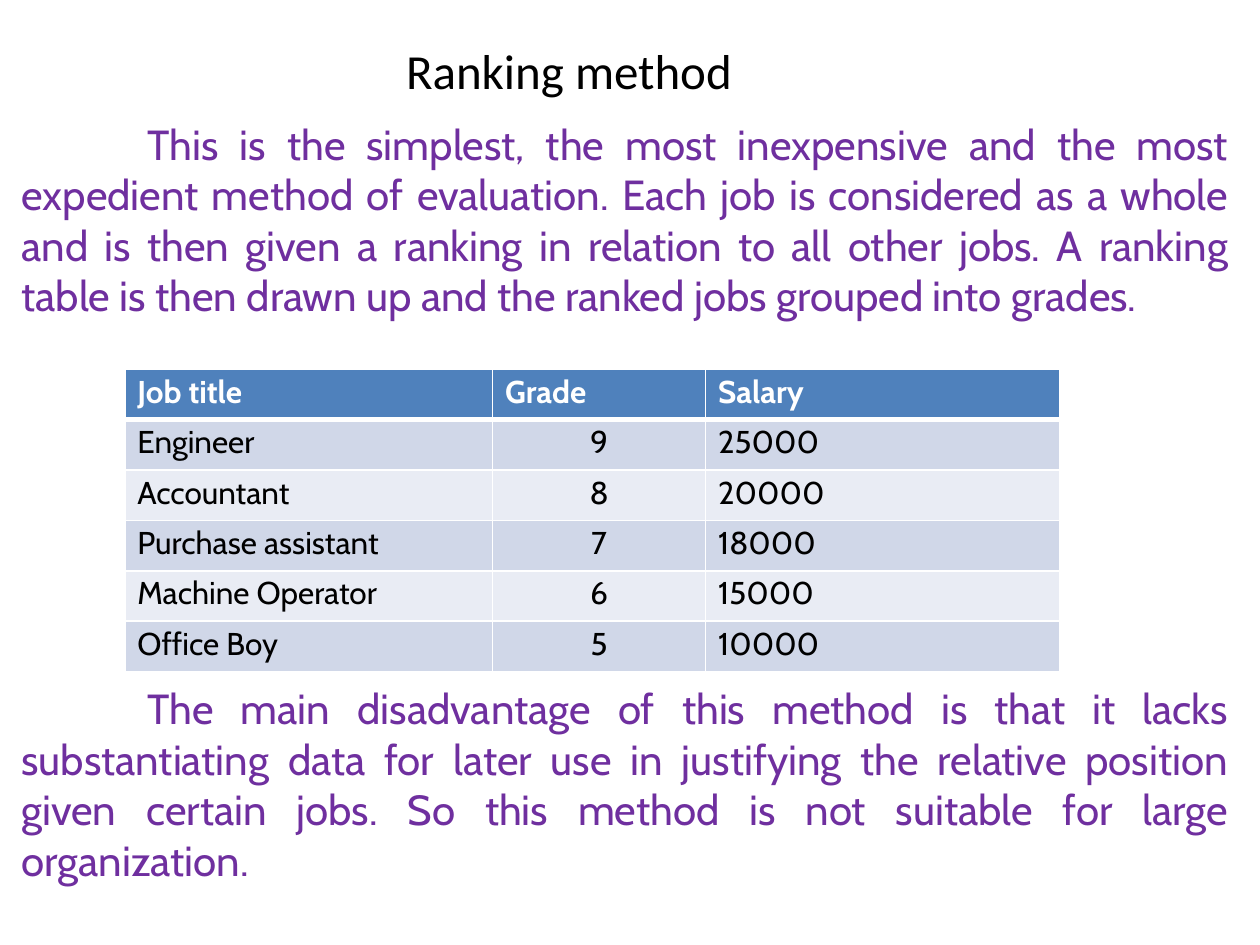
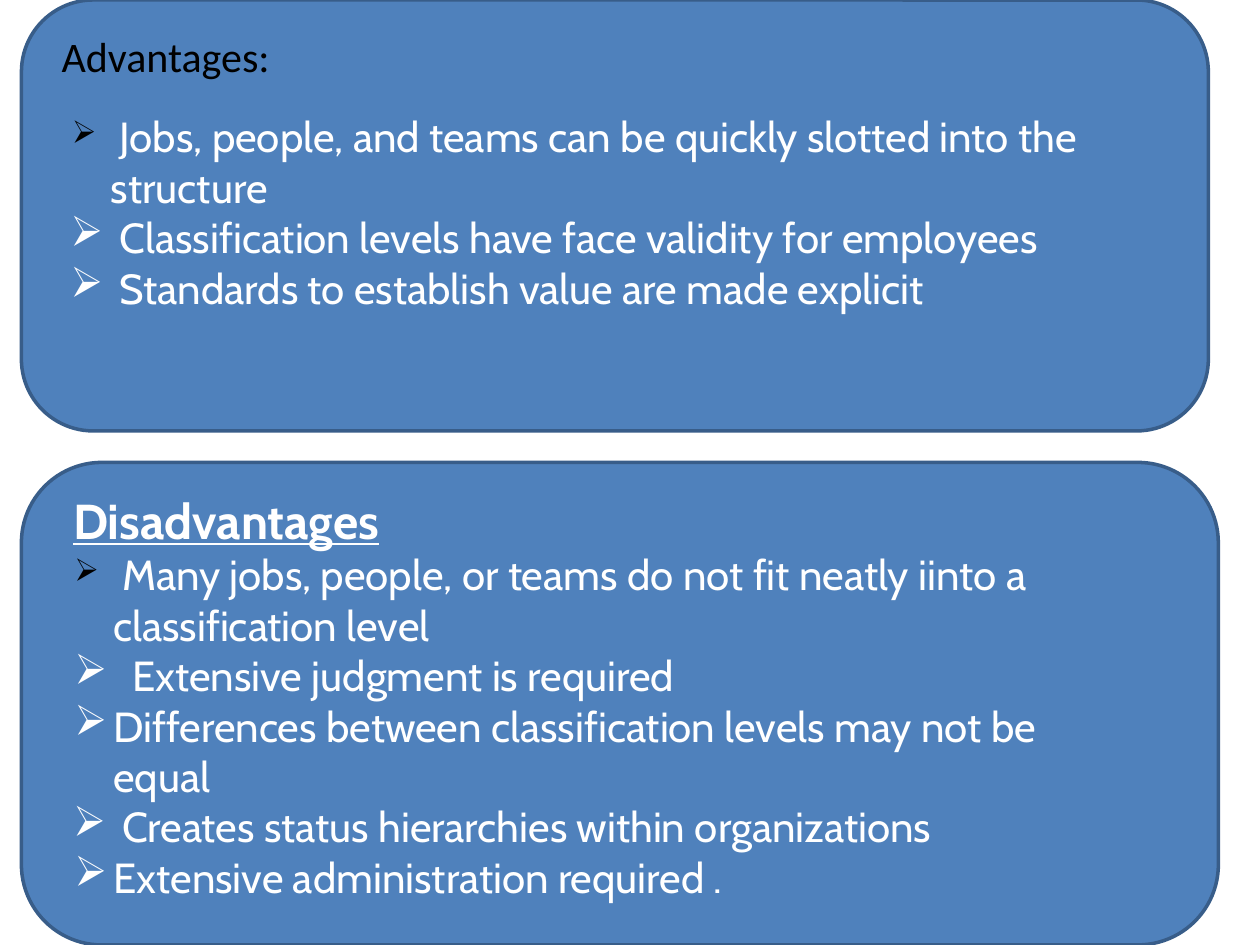
from dataclasses import dataclass

from lxml.etree import SubElement
from pptx import Presentation
from pptx.dml.color import RGBColor as RGB
from pptx.enum.shapes import MSO_SHAPE as SHAPE
from pptx.enum.text import MSO_ANCHOR as ANCHOR, PP_ALIGN as ALIGN
from pptx.oxml.ns import qn
from pptx.util import Emu, Inches, Pt


@dataclass(frozen=True)
class Theme:
    heading_font: str = "Calibri"
    body_font: str = "Cabin"
    black: str = "000000"
    white: str = "FFFFFF"
    purple: str = "6F2F9F"
    blue: str = "4F81BC"
    outline: str = "385D89"
    bands: tuple = ("E9ECF4", "D0D7E8")
    heading: int = 28
    body: int = 24
    cell: int = 18


theme = Theme()
deck = Presentation()
deck.slide_width, deck.slide_height = Inches(10), Inches(7.5)
COL, ROW = deck.slide_width / 100, deck.slide_height / 75


def style(paragraph, size, color, face=theme.body_font, bold=False):
    font = paragraph.font
    font.size, font.name, font.bold = Pt(size), face, bold
    font.color.rgb = RGB.from_string(color)


def text_frame(slide, left, top, width, height, anchor=ANCHOR.TOP):
    frame = slide.shapes.add_textbox(
        Emu(int(left * COL)), Emu(int(top * ROW)), Emu(int(width * COL)), Emu(int(height * ROW))
    ).text_frame
    frame.word_wrap = True
    frame.vertical_anchor = anchor
    frame.margin_left = frame.margin_right = frame.margin_bottom = 0
    frame.margin_top = Inches(0.01)
    return frame


blank = deck.slide_layouts[6]
ranking, classification = [deck.slides.add_slide(blank) for _ in range(2)]

for slide, title, place, size in (
    (ranking, "Ranking method", (5.9, 3.1, 78.5, 4.8), theme.heading),
    (classification, "Advantages:", (3.1, 2.3, 20.1, 4.2), theme.body),
):
    if slide is classification:
        for top, width, height in ((0, 94.2, 34.2), (36.7, 95, 38.3)):
            panel = slide.shapes.add_shape(
                SHAPE.ROUNDED_RECTANGLE,
                Emu(int(1.7 * COL)), Emu(int(top * ROW)),
                Emu(int(width * COL)), Emu(int(height * ROW)),
            )
            panel.shadow.inherit = False
            panel.fill.solid()
            panel.fill.fore_color.rgb = RGB.from_string(theme.blue)
            panel.line.color.rgb = RGB.from_string(theme.outline)
            panel.line.width = Pt(2)
    heading = text_frame(slide, *place, ANCHOR.MIDDLE).paragraphs[0]
    heading.text = title
    heading.alignment = ALIGN.CENTER
    style(heading, size, theme.black, theme.heading_font)

for top, height, wording in (
    (9.3, 16.3, "This is the simplest, the most inexpensive and the most expedient method of "
     "evaluation. Each job is considered as a whole and is then given a ranking in relation to "
     "all other jobs. A ranking table is then drawn up and the ranked jobs grouped into grades."),
    (54.1, 16.3, "The main disadvantage of this method is that it lacks substantiating data for "
     "later use in justifying the relative position given certain jobs. So this method is not "
     "suitable for large organization."),
):
    passage = text_frame(ranking, 1.7, top, 95.8, height).paragraphs[0]
    passage.text = wording
    passage.alignment = ALIGN.JUSTIFY
    passage._p.get_or_add_pPr().set("indent", str(Inches(1)))
    style(passage, theme.body, theme.purple)

jobs = (
    ("Job title", "Grade", "Salary"),
    ("Engineer", "9", "25000"),
    ("Accountant", "8", "20000"),
    ("Purchase assistant", "7", "18000"),
    ("Machine Operator", "6", "15000"),
    ("Office Boy", "5", "10000"),
)
column_widths = (29.2, 16.9, 28.1)
grades = ranking.shapes.add_table(
    len(jobs), len(column_widths), Emu(int(9.9 * COL)), Emu(int(29.3 * ROW)),
    Emu(int(sum(column_widths) * COL)), Emu(int(4 * len(jobs) * ROW)),
).table
for column, width in zip(grades.columns, column_widths):
    column.width = Emu(int(width * COL))

for r, job in enumerate(jobs):
    for c, value in enumerate(job):
        cell = grades.cell(r, c)
        cell.margin_left = Inches(0.1)
        cell.margin_top = Inches(0.03)
        cell.margin_right = cell.margin_bottom = 0
        entry = cell.text_frame.paragraphs[0]
        entry.text = value
        if r and c == 1:
            entry.alignment = ALIGN.CENTER
            cell.margin_left = 0
        style(entry, theme.cell, theme.black if r else theme.white, bold=r == 0)
        borders = cell._tc.get_or_add_tcPr()
        for side in ("lnL", "lnR", "lnT", "lnB"):
            thick = (r, side) in ((0, "lnB"), (1, "lnT"))
            edge = SubElement(borders, qn(f"a:{side}"), w=str(Pt(3 if thick else 1)))
            SubElement(SubElement(edge, qn("a:solidFill")), qn("a:srgbClr"), val=theme.white)
        cell.fill.solid()
        cell.fill.fore_color.rgb = RGB.from_string(theme.bands[r % 2] if r else theme.blue)

advantages = (
    ("\tJobs, people, and teams can be quickly slotted into the structure", 0.33, 0.31, 0.4),
    ("Classification levels have face validity for employees", 0.4, 0.39, 0.4),
    ("Standards to establish value are made explicit", 0.4, 0.39, 0.4),
)
disadvantages = (
    ("\tMany jobs, people, or teams do not fit neatly iinto a classification level", 0.35, 0.31, 0.42),
    ("Extensive judgment is required", 0.5, 0.46, 0.5),
    ("Differences between classification levels may not be equal", 0.35, 0.31, 0.35),
    ("Creates status hierarchies within organizations", 0.42, 0.39, 0.42),
    ("Extensive administration required .", 0.35, 0.31, 0.35),
)
for top, height, subheading, points in (
    (8.7, 16.2, None, advantages),
    (38.8, 33, "Disadvantages", disadvantages),
):
    frame = text_frame(classification, 5.5, top, 82, height)
    point = frame.paragraphs[0]
    if subheading:
        point.text = subheading
        point._p.get_or_add_pPr().set("marL", str(Inches(0.03)))
        style(point, theme.heading, theme.white, bold=True)
        point.font.underline = True
    for number, (wording, margin, hanging, stop) in enumerate(points):
        if number or subheading:
            point = frame.add_paragraph()
        point.text = wording
        props = point._p.get_or_add_pPr()
        props.set("marL", str(Inches(margin)))
        props.set("indent", str(-Inches(hanging)))
        bullet_color = SubElement(props, qn("a:buClr"))
        SubElement(bullet_color, qn("a:srgbClr"), val=theme.white if number else theme.black)
        SubElement(props, qn("a:buSzPct"), val="100000" if number else "75000")
        SubElement(props, qn("a:buChar"), char="➢")
        SubElement(SubElement(props, qn("a:tabLst")), qn("a:tab"), pos=str(Inches(stop)), algn="l")
        style(point, theme.body, theme.white)

deck.save("out.pptx")
